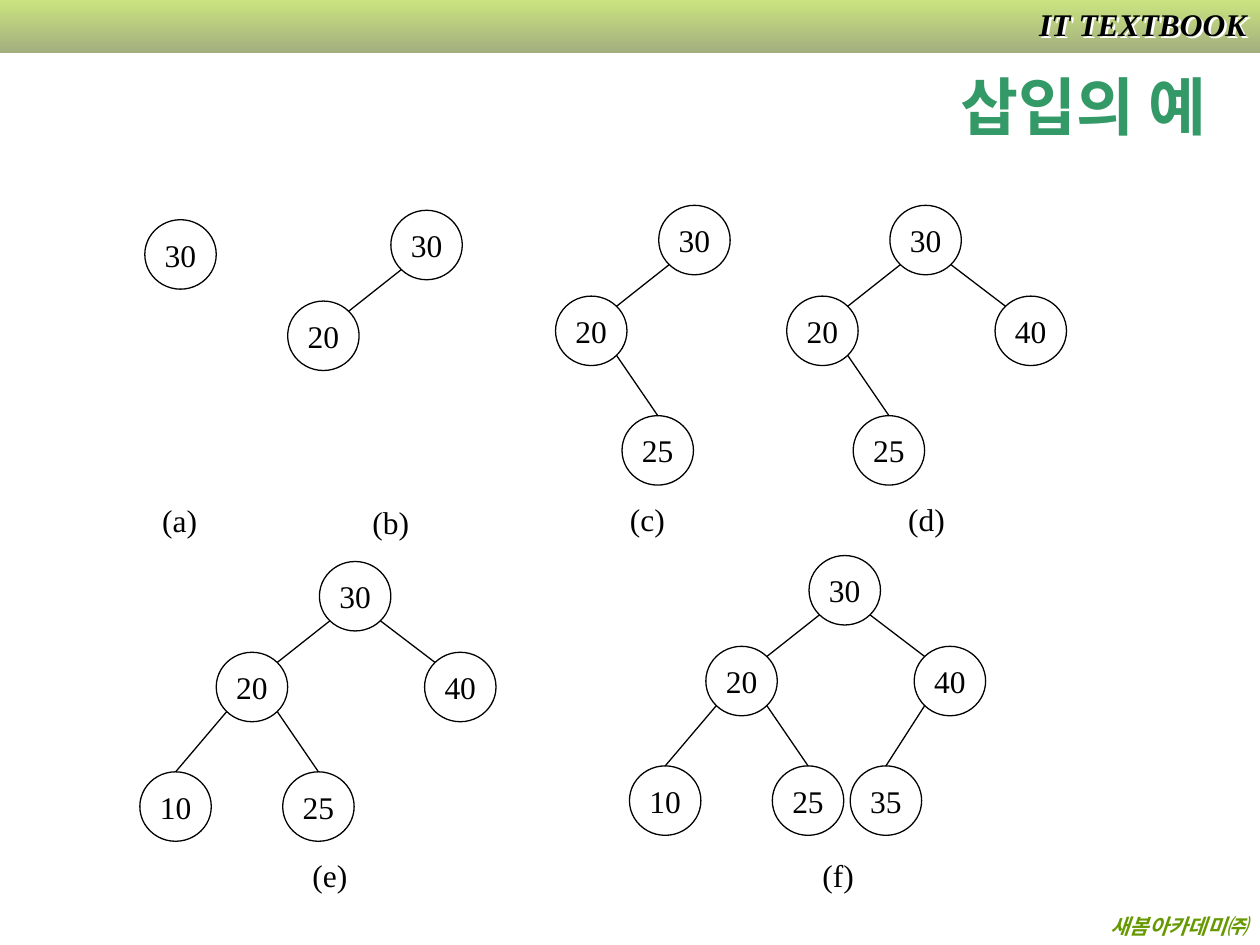
import pptx
import pptx.dml.color
import pptx.enum.shapes
import pptx.enum.text
import pptx.oxml
import pptx.oxml.ns
import pptx.util
from lxml import etree

Cm = pptx.util.Cm
qn = pptx.oxml.ns.qn
ALIGN = pptx.enum.text.PP_ALIGN
ANCHOR = pptx.enum.text.MSO_ANCHOR
SHAPE = pptx.enum.shapes.MSO_SHAPE

COLORS = {"ink": "000000", "shadow": "FFFFFF", "title": "339966",
          "footer": "669900", "band_top": "99CC00", "band_bottom": "475E00"}
SERIF, SANS = "Times New Roman", "Noto Sans CJK KR"

NODE_W, NODE_H = 1.44, 1.4
DIAGONAL = 0.354  # share of the node size from its centre to a corner point
CAPTION_W, CAPTION_H = 1.5, 1.02

# Node: offset from the root, parent, side of the parent the edge leaves from
NODES = {
    "30": (0, 0, None, 0),
    "20": (-2.08, 1.83, "30", -1),
    "40": (2.12, 1.83, "30", 1),
    "25": (-0.74, 4.24, "20", 1),
    "10": (-3.62, 4.24, "20", -1),
    "35": (0.83, 4.24, "40", -1),
}

# Caption, root position, caption offset from the root, keys in the tree
TREES = [
    ("(a)", (2.92, 4.43), (0.1, 5.55), ["30"]),
    ("(b)", (7.88, 4.24), (-0.62, 5.77), ["30", "20"]),
    ("(c)", (13.28, 4.14), (-0.83, 5.82), ["30", "20", "25"]),
    ("(d)", (17.94, 4.14), (0.12, 5.82), ["30", "20", "25", "40"]),
    ("(e)", (6.44, 11.32), (-0.39, 5.81), ["30", "20", "25", "40", "10"]),
    ("(f)", (16.31, 11.2), (0.02, 5.93), ["30", "20", "25", "40", "10", "35"]),
]


def rgb(name):
    return pptx.dml.color.RGBColor.from_string(COLORS[name])


def write(sp, text, size=18, color="ink", font=SERIF, align=ALIGN.LEFT,
          anchor=ANCHOR.TOP, wrap=False, bold=False, italic=False):
    tf = sp.text_frame
    tf.word_wrap = wrap
    tf.vertical_anchor = anchor
    p = tf.paragraphs[0]
    p.text = text
    p.alignment = align
    f = p.font
    f.size, f.bold, f.italic, f.name = pptx.util.Pt(size), bold, italic, font
    f.color.rgb = rgb(color)
    # Korean letters use the sans font
    props = p._p.pPr.find(qn("a:defRPr"))
    etree.SubElement(props, qn("a:ea")).set("typeface", SANS)


def add_text(slide, box, text, **style):
    sp = slide.shapes.add_textbox(*map(Cm, box))
    write(sp, text, **style)
    return sp


def add_band(slide, box):
    x, y, w, h = box
    sp = slide.shapes.add_shape(SHAPE.RECTANGLE, *map(Cm, box))
    sp.shadow.inherit = False
    sp.line.fill.background()
    sp.fill.gradient()
    sp.fill.gradient_angle = 270
    for stop, name in zip(sp.fill.gradient_stops, ("band_top", "band_bottom")):
        stop.color.rgb = rgb(name)
    for clr in sp.element.spPr.iter(qn("a:srgbClr")):
        etree.SubElement(clr, qn("a:alpha")).set("val", "50000")

    # Series name with a light shadow
    name = add_text(slide, (x + w - 5.38, y - 0.03, 5.36, 1.02), "IT TEXTBOOK",
                    align=ALIGN.RIGHT, wrap=True, bold=True, italic=True)
    name.element.spPr.append(pptx.oxml.parse_xml(
        f'<a:effectLst {pptx.oxml.ns.nsdecls("a")}>'
        '<a:outerShdw dist="25400" dir="2700000">'
        f'<a:srgbClr val="{COLORS["shadow"]}"/></a:outerShdw></a:effectLst>'))


def add_edge(slide, start, end):
    line = slide.shapes.add_connector(
        pptx.enum.shapes.MSO_CONNECTOR.STRAIGHT, *map(Cm, start + end))
    line.line.color.rgb = rgb("ink")
    line.line.width = pptx.util.Pt(0.75)
    etree.SubElement(line.element.spPr, qn("a:effectLst"))


def add_node(slide, x, y, key):
    sp = slide.shapes.add_shape(SHAPE.OVAL, *map(Cm, (x, y, NODE_W, NODE_H)))
    sp.shadow.inherit = False
    sp.fill.background()
    sp.line.color.rgb = rgb("ink")
    sp.line.width = pptx.util.Pt(0.75)
    write(sp, key, align=ALIGN.CENTER, anchor=ANCHOR.MIDDLE)


def corner(x, y, side, vertical):
    return (x + NODE_W * (0.5 + side * DIAGONAL),
            y + NODE_H * (0.5 + vertical * DIAGONAL))


def add_tree(slide, root, keys, caption, offset):
    x, y = root
    for key in keys:
        dx, dy, parent, side = NODES[key]
        add_node(slide, x + dx, y + dy, key)
        if parent:
            px, py = NODES[parent][:2]
            start = corner(x + px, y + py, side, 1)
            if parent == "30":
                end = corner(x + dx, y + dy, -side, -1)
            else:  # leaves are joined at their top
                end = (x + dx + NODE_W / 2, y + dy)
            add_edge(slide, start, end)
    # The caption box is wide enough to hold one line
    add_text(slide, (x + offset[0], y + offset[1], CAPTION_W, CAPTION_H),
             caption, wrap=True)


def main():
    prs = pptx.Presentation()
    prs.slide_width, prs.slide_height = Cm(25.4), Cm(19.05)
    slide = prs.slides.add_slide(prs.slide_layouts[6])

    # Header and footer
    add_band(slide, (0, 0, 25.4, 1.07))
    add_text(slide, (0.15, 18.29, 25.25, 0.76), "새봄아카데미㈜", size=12,
             color="footer", align=ALIGN.RIGHT, wrap=True, bold=True,
             italic=True)

    # Insertion steps
    for caption, root, offset, keys in TREES:
        add_tree(slide, root, keys, caption, offset)

    # Title
    add_text(slide, (18.42, 1.07, 6.86, 2.11), "삽입의 예", size=36,
             color="title", font=SANS, align=ALIGN.CENTER,
             anchor=ANCHOR.MIDDLE, wrap=True, bold=True)

    prs.save("out.pptx")


if __name__ == "__main__":
    main()
